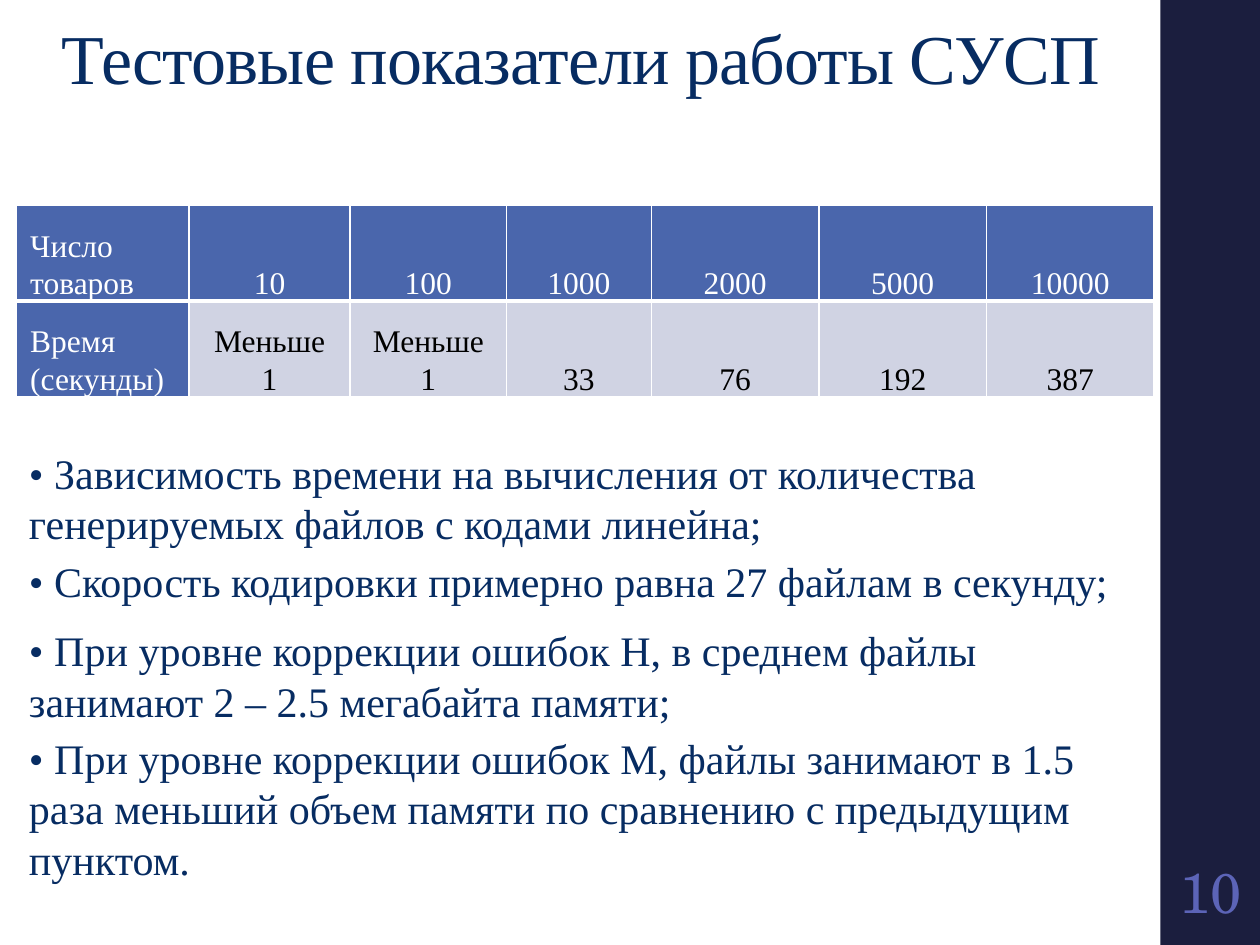
from dataclasses import dataclass

from lxml import etree
from pptx import Presentation
from pptx.dml.color import RGBColor
from pptx.enum.shapes import MSO_SHAPE
from pptx.enum.text import MSO_ANCHOR, MSO_AUTO_SIZE, PP_ALIGN
from pptx.oxml.ns import qn
from pptx.util import Inches, Pt

RECTANGLE = MSO_SHAPE.RECTANGLE
LEFT, CENTER = PP_ALIGN.LEFT, PP_ALIGN.CENTER
MIDDLE, BOTTOM = MSO_ANCHOR.MIDDLE, MSO_ANCHOR.BOTTOM
NO_AUTOFIT = MSO_AUTO_SIZE.NONE


@dataclass(frozen=True)
class Theme:
    font: str = "Times New Roman"
    number_font: str = "TeX Gyre Schola"
    navy: str = "072C62"
    sidebar: str = "1B1E3E"
    number: str = "5C64B7"
    header_fill: str = "4A66AC"
    value_fill: str = "D0D3E3"
    white: str = "FFFFFF"
    black: str = "000000"
    title_size: int = 40
    number_size: int = 32
    body_size: int = 24
    table_size: int = 18


@dataclass(frozen=True)
class Box:
    left: float
    top: float
    width: float
    height: float

    def lengths(self) -> tuple:
        return tuple(Inches(v) for v in (self.left, self.top, self.width, self.height))


@dataclass(frozen=True)
class Statement:
    text: str
    space_before: float


THEME = Theme()
COLUMN_WIDTHS = (1.37, 1.28, 1.24, 1.15, 1.33, 1.33, 1.33)
ROW_HEIGHT = 0.76
TABLE_ROWS = (
    ("Число товаров", "10", "100", "1000", "2000", "5000", "10000"),
    ("Время (секунды)", "Меньше 1", "Меньше 1", "33", "76", "192", "387"),
)
STATEMENTS = (
    Statement("• Зависимость времени на вычисления от количества "
              "генерируемых файлов с кодами линейна;", 0),
    Statement("• Скорость кодировки примерно равна 27 файлам в секунду;", 4),
    Statement("• При уровне коррекции ошибок H, в среднем файлы "
              "занимают 2 – 2.5 мегабайта памяти;", 11),
    Statement("• При уровне коррекции ошибок M, файлы занимают в 1.5 раза меньший "
              "объем памяти по сравнению с предыдущим пунктом.", 4),
)


def place(shape, box: Box) -> None:
    shape.left, shape.top, shape.width, shape.height = box.lengths()


def format_paragraph(paragraph, size: int, color: str, align=LEFT,
                     font: str = THEME.font) -> None:
    paragraph.alignment = align
    for run in paragraph.runs:
        run.font.size = Pt(size)
        run.font.name = font
        run.font.bold = False
        run.font.color.rgb = RGBColor.from_string(color)


def add_sidebar(slide, box: Box) -> None:
    shape = slide.shapes.add_shape(RECTANGLE, *box.lengths())
    shape.shadow.inherit = False
    shape.fill.solid()
    shape.fill.fore_color.rgb = RGBColor.from_string(THEME.sidebar)
    shape.line.fill.background()


def add_page_number(slide, text: str, box: Box) -> None:
    frame = slide.shapes.add_textbox(*box.lengths()).text_frame
    frame.word_wrap = True
    frame.vertical_anchor = MIDDLE
    frame.margin_left = frame.margin_right = Inches(0.03)
    frame.text = text
    format_paragraph(frame.paragraphs[0], THEME.number_size, THEME.number,
                     CENTER, THEME.number_font)


def set_borders(cell, widths: dict[str, float]) -> None:
    """Draw white cell borders; the lines must precede the fill in the XML."""
    properties = cell._tc.get_or_add_tcPr()
    for position, (side, width) in enumerate(widths.items()):
        line = etree.Element(qn(f"a:ln{side}"), w=str(Pt(width)))
        fill = etree.SubElement(line, qn("a:solidFill"))
        etree.SubElement(fill, qn("a:srgbClr"), val=THEME.white)
        properties.insert(position, line)


def fill_cell(cell, text: str, is_header_row: bool, is_label: bool) -> None:
    is_header = is_header_row or is_label
    cell.fill.solid()
    cell.fill.fore_color.rgb = RGBColor.from_string(
        THEME.header_fill if is_header else THEME.value_fill)
    cell.vertical_anchor = BOTTOM
    cell.margin_left = cell.margin_right = Inches(0.11)
    cell.margin_top = cell.margin_bottom = 0
    cell.text_frame.text = text
    paragraph = cell.text_frame.paragraphs[0]
    paragraph.line_spacing = 1.07
    format_paragraph(paragraph, THEME.table_size,
                     THEME.white if is_header else THEME.black,
                     LEFT if is_label else CENTER)
    set_borders(cell, {"L": 1, "R": 1, "T": 1 if is_header_row else 3,
                       "B": 3 if is_header_row else 1})


def add_results_table(slide, left: float, top: float) -> None:
    box = Box(left, top, sum(COLUMN_WIDTHS), ROW_HEIGHT * len(TABLE_ROWS))
    table = slide.shapes.add_table(len(TABLE_ROWS), len(COLUMN_WIDTHS),
                                   *box.lengths()).table
    for column, width in zip(table.columns, COLUMN_WIDTHS):
        column.width = Inches(width)
    for row_index, row in enumerate(TABLE_ROWS):
        for column_index, text in enumerate(row):
            fill_cell(table.cell(row_index, column_index), text,
                      row_index == 0, column_index == 0)


def fill_title(title, text: str, box: Box) -> None:
    place(title, box)
    frame = title.text_frame
    frame.auto_size = NO_AUTOFIT
    frame.vertical_anchor = BOTTOM
    frame.text = text
    paragraph = frame.paragraphs[0]
    paragraph.line_spacing = 0.9
    format_paragraph(paragraph, THEME.title_size, THEME.navy, CENTER)
    paragraph.runs[0].font._element.set("spc", "-50")


def fill_body(body, box: Box) -> None:
    """The bullet sign is part of the text, so wrapped lines start below it."""
    place(body, box)
    frame = body.text_frame
    frame.auto_size = NO_AUTOFIT
    frame.text = "\n".join(statement.text for statement in STATEMENTS)
    for paragraph, statement in zip(frame.paragraphs, STATEMENTS):
        paragraph.space_before = Pt(statement.space_before)
        paragraph.line_spacing = Pt(28.8)
        format_paragraph(paragraph, THEME.body_size, THEME.navy)
        properties = paragraph._p.get_or_add_pPr()
        properties.set("marL", "0")
        properties.set("indent", "0")
        etree.SubElement(properties, qn("a:buNone"))


def main() -> None:
    presentation = Presentation()
    presentation.slide_width, presentation.slide_height = Inches(10), Inches(7.5)
    slide = presentation.slides.add_slide(presentation.slide_layouts[1])
    add_sidebar(slide, Box(9.21, 0, 0.8, 7.5))
    add_page_number(slide, "10", Box(9.23, 6.75, 0.75, 0.65))
    add_results_table(slide, 0.13, 1.63)
    fill_title(slide.shapes.title, "Тестовые показатели работы СУСП",
               Box(-0.39, 0, 10, 0.84))
    fill_body(slide.placeholders[1], Box(0.13, 3.5, 9.02, 3.57))
    presentation.save("out.pptx")


if __name__ == "__main__":
    main()
